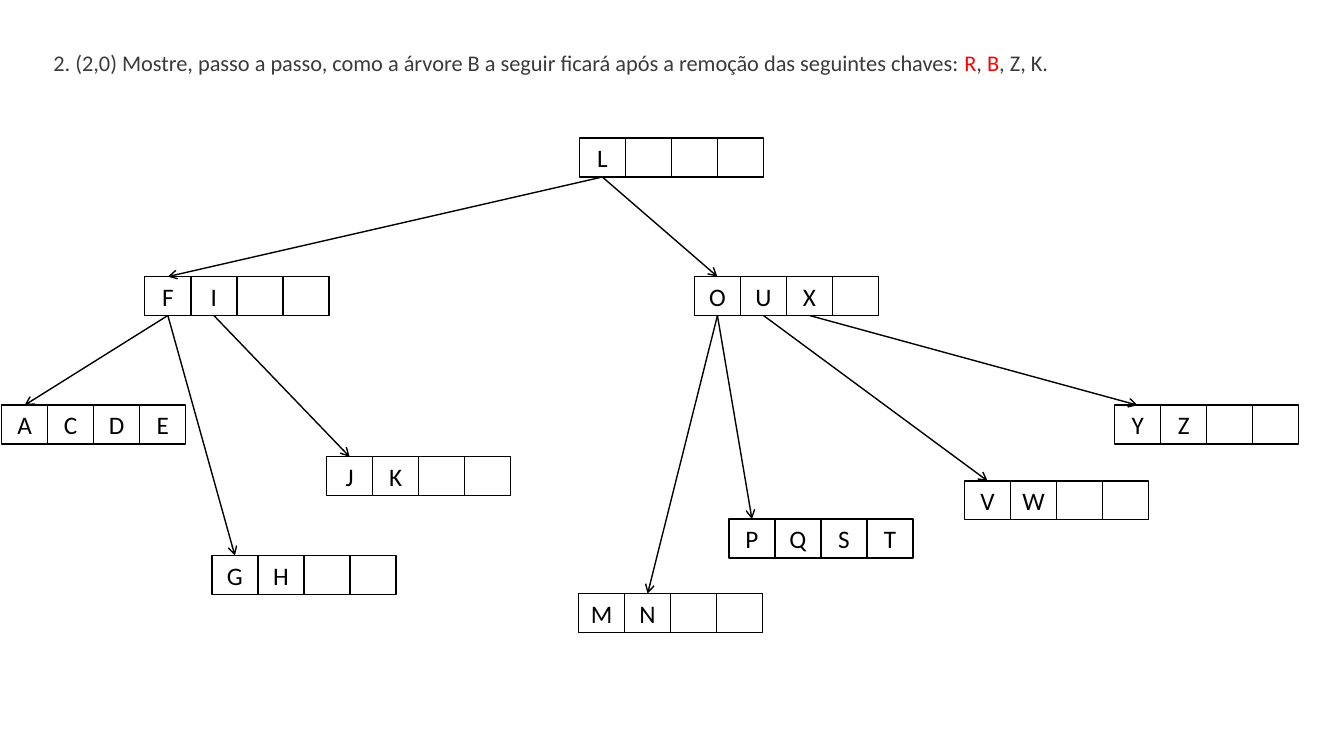
"""Build a slide with a B-tree exercise: a statement and linked node boxes."""
from lxml.etree import SubElement
from pptx import Presentation
from pptx.dml.color import RGBColor
from pptx.enum.shapes import MSO_CONNECTOR as CONN, MSO_SHAPE as SHAPE
from pptx.enum.text import MSO_ANCHOR as ANCHOR, MSO_AUTO_SIZE as AUTO, PP_ALIGN as ALIGN
from pptx.oxml.ns import qn
from pptx.util import Cm, Pt

COLORS = {"black": "000000", "gray": "3B3B3B", "red": "FF0000"}
FONT = "Calibri"
CELL_W, CELL_H = 1.16, 0.98
CELLS_PER_NODE = 4
BOTTOM, TOP = 2, 0

STATEMENT = [
    ("2. (2,0) Mostre, passo a passo, como a árvore B a seguir ficará após "
     "a remoção das seguintes chaves: ", "gray"),
    ("R", "red"), (", ", "gray"), ("B", "red"), (", Z, K.", "gray"),
]

NODES = [
    ("L", 14.6, 3.48),
    ("OUX", 17.5, 6.97),
    ("FI", 3.65, 6.97),
    ("ACDE", 0.04, 10.21),
    ("GH", 5.34, 14),
    ("MN", 14.58, 14.96),
    ("JK", 8.23, 11.51),
    ("PQST", 18.37, 13.08),
    ("VW", 24.31, 12.12),
    ("YZ", 28.09, 10.21),
]

LINKS = ["LO", "LF", "IJ", "OP", "ON", "FA", "FG", "UV", "XY"]


def rgb(name):
    """Return the named colour."""
    return RGBColor.from_string(COLORS[name])


def add_text(p, text, size=18, color="black", align=None):
    """Add a formatted run to a paragraph."""
    if align is not None:
        p.alignment = align
    r = p.add_run()
    r.text = text
    r.font.name = FONT
    r.font.size = Pt(size)
    r.font.color.rgb = rgb(color)


def set_line(sp):
    """Give a shape or connector the thin black line."""
    sp.line.color.rgb = rgb("black")
    sp.line.width = Pt(1)


def add_statement(s):
    """Write the exercise statement in the title placeholder."""
    sp = s.shapes.title
    sp.left, sp.top, sp.width, sp.height = Cm(1.09), Cm(1.12), Cm(31.65), Cm(0.94)
    tf = sp.text_frame
    tf.word_wrap = True
    tf.auto_size = AUTO.SHAPE_TO_FIT_TEXT
    tf.vertical_anchor = ANCHOR.TOP
    for text, color in STATEMENT:
        add_text(tf.paragraphs[0], text, size=16, color=color, align=ALIGN.LEFT)


def add_cell(s, key, x, y):
    """Draw one cell of a node, with its key if it has one."""
    sp = s.shapes.add_shape(SHAPE.RECTANGLE, Cm(x), Cm(y), Cm(CELL_W), Cm(CELL_H))
    sp.shadow.inherit = False
    sp.fill.background()
    set_line(sp)
    if key.strip():
        sp.text_frame.vertical_anchor = ANCHOR.MIDDLE
        add_text(sp.text_frame.paragraphs[0], key, align=ALIGN.CENTER)
    return sp


def add_node(s, keys, x, y):
    """Draw a row of cells and return the cells by key."""
    return {key: add_cell(s, key, x + i * CELL_W, y)
            for i, key in enumerate(keys.ljust(CELLS_PER_NODE))}


def add_link(s, parent, child):
    """Join the bottom of a parent cell to the top of a child cell."""
    link = s.shapes.add_connector(CONN.STRAIGHT, 0, 0, 0, 0)
    link.begin_connect(parent, BOTTOM)
    link.end_connect(child, TOP)
    set_line(link)
    SubElement(link.line._get_or_add_ln(), qn("a:tailEnd"), type="arrow")
    SubElement(link._element.spPr, qn("a:effectLst"))


def main():
    """Build and save the slide."""
    prs = Presentation()
    prs.slide_width, prs.slide_height = Cm(33.87), Cm(19.05)
    s = prs.slides.add_slide(prs.slide_layouts[5])
    add_statement(s)
    cells = {}
    for keys, x, y in NODES:
        cells.update(add_node(s, keys, x, y))
    for parent, child in LINKS:
        add_link(s, cells[parent], cells[child])
    prs.save("out.pptx")


if __name__ == "__main__":
    main()
